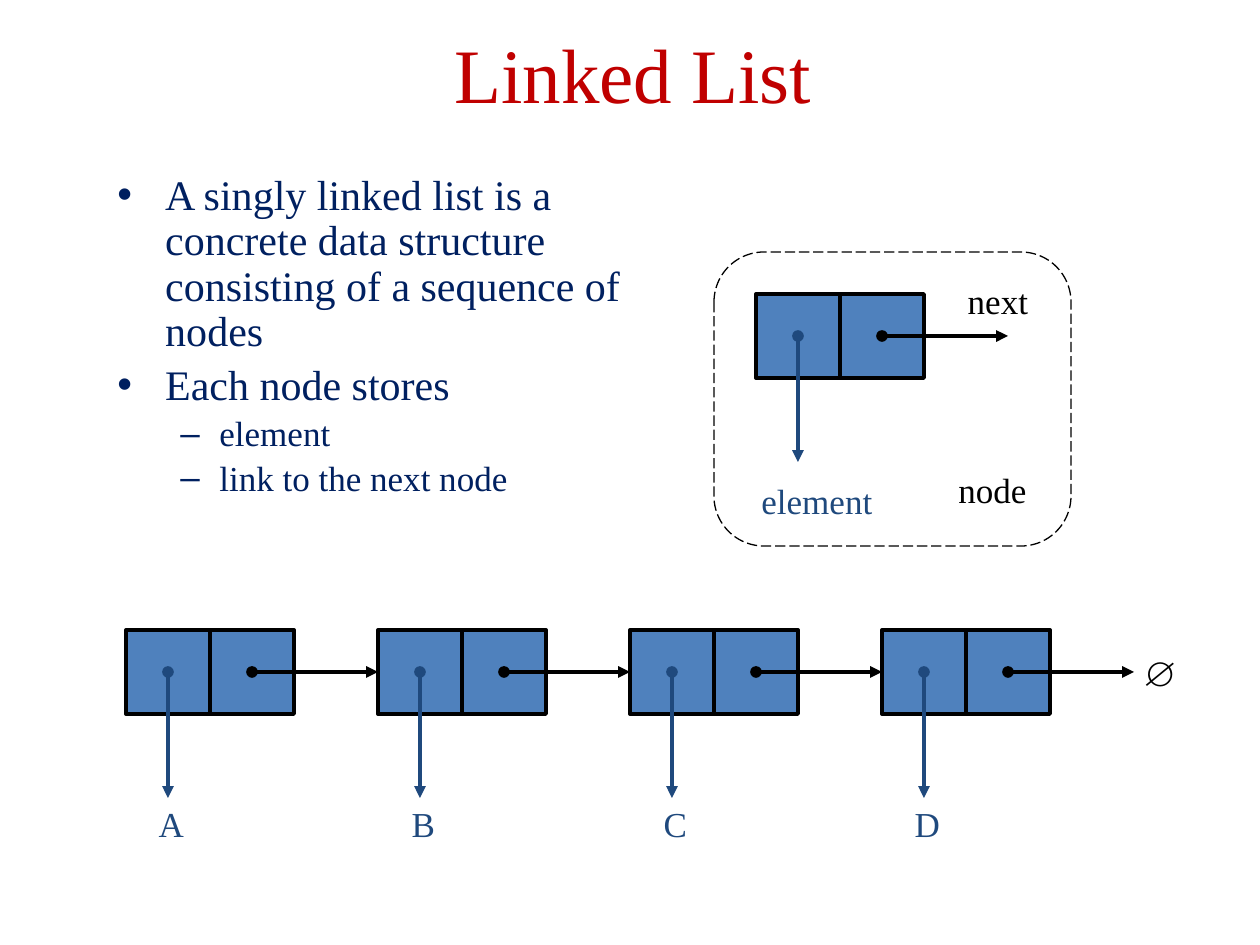
from lxml import etree
from pptx import Presentation
from pptx.dml.color import RGBColor
from pptx.enum.dml import MSO_LINE
from pptx.enum.shapes import MSO_CONNECTOR, MSO_SHAPE
from pptx.enum.text import MSO_ANCHOR, MSO_AUTO_SIZE, PP_ALIGN
from pptx.oxml.ns import qn
from pptx.util import Inches, Pt

RECT, ROUND = MSO_SHAPE.RECTANGLE, MSO_SHAPE.ROUNDED_RECTANGLE
LINE, DASH = MSO_CONNECTOR.STRAIGHT, MSO_LINE.LONG_DASH
MID, TOP = MSO_ANCHOR.MIDDLE, MSO_ANCHOR.TOP
MID_TEXT, LEFT = PP_ALIGN.CENTER, PP_ALIGN.LEFT
FIT = MSO_AUTO_SIZE.SHAPE_TO_FIT_TEXT
COLORS = {"title": "C00000", "body": "002060", "box": "4F81BD",
          "link": "000000", "item": "1F497D"}
FACE = "Times New Roman"
CELL = 2
BODY = [
    ("A singly linked list is a concrete data structure consisting of a sequence of nodes", 0),
    ("Each node stores", 0),
    ("element", 1),
    ("link to the next node", 1),
]
LEVELS = [
    {"size": 24, "mark": "•", "left": 0.38, "hang": 0.38},
    {"size": 20, "mark": "–", "left": 0.81, "hang": 0.31},
]


def grid(*spans):
    """Turn grid columns or rows, three to the inch, into lengths."""
    return [Inches(span / 3) for span in spans]


def hue(name):
    """Look up a named color."""
    return RGBColor.from_string(COLORS[name])


def apply(thing, form):
    """Set each attribute named in a dict of format values."""
    for name, value in form.items():
        setattr(thing, name, value)


def write(para, text, size, color, bold=False):
    """Add one styled run to a paragraph."""
    run = para.add_run()
    run.text = text
    apply(run.font, {"name": FACE, "size": Pt(size), "bold": bold})
    run.font.color.rgb = hue(color)


def add_text(slide, area, form):
    """Add an empty text box and return its frame."""
    frame = slide.shapes.add_textbox(*grid(*area)).text_frame
    apply(frame, form)
    return frame


def add_title(slide, text):
    """Add the centered slide title."""
    frame = add_text(slide, (1.65, 0, 26.85, 3.45),
                     {"word_wrap": True, "vertical_anchor": MID})
    para = frame.paragraphs[0]
    para.alignment = MID_TEXT
    write(para, text, 44, "title")


def add_body(slide, items):
    """Add the two-level bullet list."""
    frame = add_text(slide, (2.5, 4, 13.5, 8.25),
                     {"word_wrap": True, "vertical_anchor": TOP})
    for rank, (text, level) in enumerate(items):
        para = frame.add_paragraph() if rank else frame.paragraphs[0]
        style = LEVELS[level]
        gap = Pt(style["size"] * 0.2 if rank else 0)
        apply(para, {"level": level, "alignment": LEFT,
                     "line_spacing": 0.9, "space_before": gap})
        props = para._p.get_or_add_pPr()
        props.set("marL", str(Inches(style["left"])))
        props.set("indent", str(-Inches(style["hang"])))
        etree.SubElement(props, qn("a:buFont"), typeface="Arial")
        etree.SubElement(props, qn("a:buChar"), char=style["mark"])
        write(para, text, style["size"], "body")


def add_label(slide, text, mid, row, wide, color, bold=False):
    """Add a label centered on a column."""
    frame = add_text(slide, (mid - wide / 2, row, wide, 1.32),
                     {"word_wrap": False, "auto_size": FIT})
    para = frame.paragraphs[0]
    para.alignment = MID_TEXT
    write(para, text, 20, color, bold)


def add_cell(slide, col, row):
    """Add one square half of a node."""
    cell = slide.shapes.add_shape(RECT, *grid(col, row, CELL, CELL))
    cell.shadow.inherit = False
    cell.fill.solid()
    cell.fill.fore_color.rgb = hue("box")
    cell.line.color.rgb = hue("link")
    cell.line.width = Pt(2.25)
    return cell


def add_arrow(slide, start, end, color):
    """Add an arrow with a dot at its start."""
    arrow = slide.shapes.add_connector(LINE, *grid(*start, *end))
    arrow.line.color.rgb = hue(color)
    arrow.line.width = Pt(2.25)
    edge = arrow.line._get_or_add_ln()
    etree.SubElement(edge, qn("a:headEnd"), type="oval")
    etree.SubElement(edge, qn("a:tailEnd"), type="triangle")
    etree.SubElement(arrow._element.spPr, qn("a:effectLst"))
    return arrow


def add_node(slide, col, row):
    """Add a node with both arrows; return its first cell and next arrow."""
    cell = add_cell(slide, col, row)
    add_cell(slide, col + CELL, row)
    mid, axis = col + CELL / 2, row + CELL / 2
    add_arrow(slide, (mid, axis), (mid, axis + 3), "item")
    link = add_arrow(slide, (mid + CELL, axis), (mid + CELL + 3, axis), "link")
    return cell, link


def add_frame(slide, area):
    """Add the dashed round frame of the key."""
    frame = slide.shapes.add_shape(ROUND, *grid(*area))
    frame.shadow.inherit = False
    frame.adjustments[0] = 0.17
    frame.fill.background()
    frame.line.color.rgb = hue("link")
    apply(frame.line, {"width": Pt(0.75), "dash_style": DASH})


def add_key(slide):
    """Add the framed node with its parts named."""
    add_frame(slide, (17, 6, 8.5, 7))
    add_node(slide, 18, 7)
    add_label(slide, "next", 23.76, 6.5, 2.04, "link")
    add_label(slide, "element", 19.45, 11.28, 3.27, "item")
    add_label(slide, "node", 23.63, 11, 2.25, "link")


def add_chain(slide, names):
    """Add the linked nodes and the empty end mark."""
    prior = None
    for rank, name in enumerate(names):
        col = 3 + 6 * rank
        cell, link = add_node(slide, col, 15)
        if prior:
            prior.end_connect(cell, 1)
        add_label(slide, name, col + 1.08, 18.96, 1.2, "item")
        prior = link
    add_label(slide, "∅", 27.55, 15.36, 1.29, "link", True)


def main():
    """Build and save the slide."""
    deck = Presentation()
    apply(deck, {"slide_width": Inches(10), "slide_height": Inches(7.5)})
    slide = deck.slides.add_slide(deck.slide_layouts[6])
    add_title(slide, "Linked List")
    add_body(slide, BODY)
    add_key(slide)
    add_chain(slide, "ABCD")
    deck.save("out.pptx")


if __name__ == "__main__":
    main()
